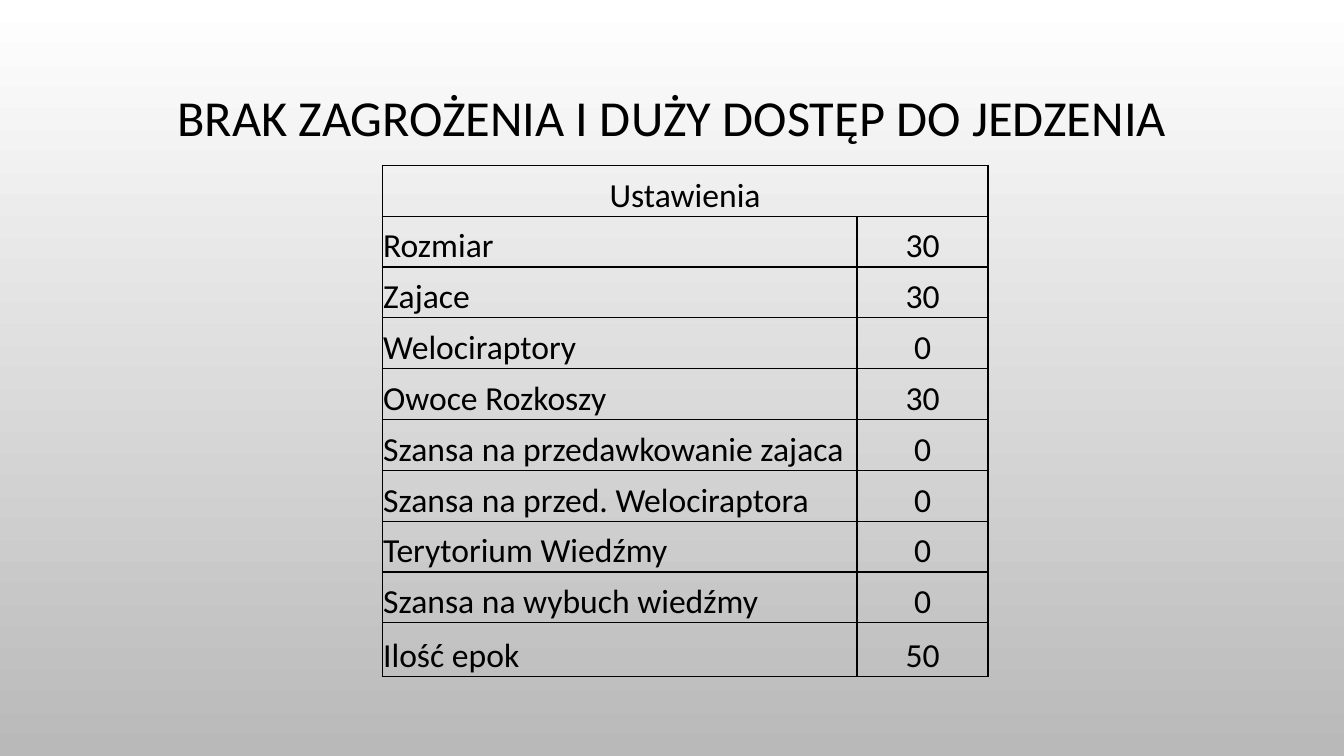
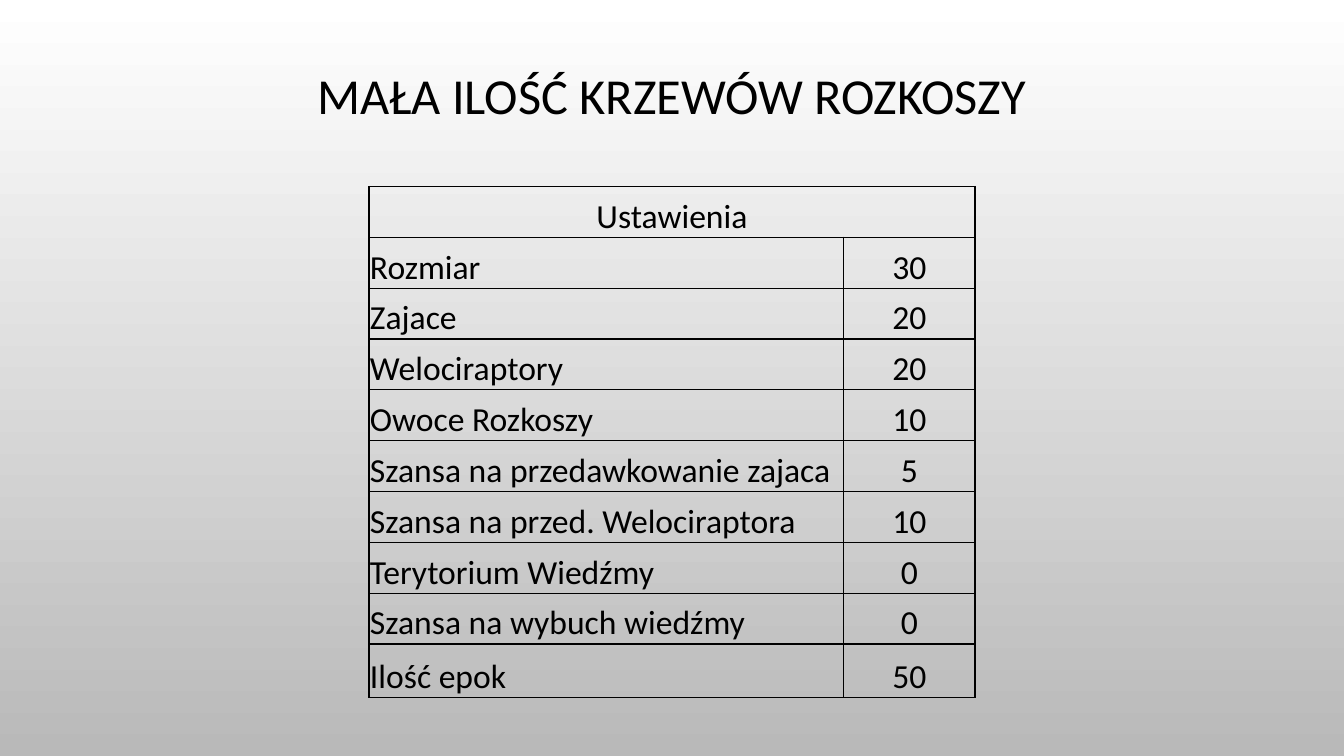
from dataclasses import dataclass

from lxml import etree
from pptx import Presentation, util as u
from pptx.dml.color import RGBColor
from pptx.enum import text
from pptx.oxml import ns

HEADING = "Ustawienia"
SETTINGS = [
    "Rozmiar", "Zajace", "Welociraptory", "Owoce Rozkoszy",
    "Szansa na przedawkowanie zajaca", "Szansa na przed. Welociraptora",
    "Terytorium Wiedźmy", "Szansa na wybuch wiedźmy", "Ilość epok",
]
SCENARIOS = [
    {"title": "BRAK ZAGROŻENIA I DUŻY DOSTĘP DO JEDZENIA", "title_top": 0.32,
     "table_at": (3.79, 1.64), "values": [30, 30, 0, 30, 0, 0, 0, 0, 50]},
    {"title": "MAŁA ILOŚĆ KRZEWÓW ROZKOSZY", "title_top": 0.1,
     "table_at": (3.66, 1.85), "values": [30, 20, 20, 10, 5, 10, 0, 0, 50]},
]

PAGE_WIDTH, PAGE_HEIGHT = 13.33, 7.5
TITLE_MARGIN, TITLE_HEIGHT = 1, 1.75
COLUMN_WIDTHS = (4.71, 1.3)
ROW_HEIGHTS = [4.54 / 9] * 9 + [0.53]
CELL_INSET = 0.01


@dataclass(frozen=True)
class Theme:
    font: str = "Calibri"
    ink: str = "000000"
    gradient: tuple = ("FFFFFF", "B9B9B9")
    title_size: int = 36
    table_size: int = 24
    border: float = 1


THEME = Theme()


def set_background(master):
    fill = master.background.fill
    fill.gradient()
    fill.gradient_angle = 270
    for position, (stop, color) in enumerate(zip(fill.gradient_stops, THEME.gradient)):
        stop.position = position
        stop.color.rgb = RGBColor.from_string(color)


def style_paragraph(para, size, align):
    para.alignment = align
    para.font.name = THEME.font
    para.font.size = u.Pt(size)
    para.font.color.rgb = RGBColor.from_string(THEME.ink)


def add_title(page, wording, top):
    title = page.shapes.title
    title.left, title.top = u.Inches(TITLE_MARGIN), u.Inches(top)
    title.width = u.Inches(PAGE_WIDTH - 2 * TITLE_MARGIN)
    title.height = u.Inches(TITLE_HEIGHT)
    frame = title.text_frame
    frame.text = wording
    frame.auto_size = text.MSO_AUTO_SIZE.NONE
    frame.vertical_anchor = text.MSO_ANCHOR.MIDDLE
    para = frame.paragraphs[0]
    para.line_spacing = 0.9
    style_paragraph(para, THEME.title_size, text.PP_ALIGN.CENTER)


def add_borders(cell):
    properties = cell._tc.get_or_add_tcPr()
    for side in ("a:lnL", "a:lnR", "a:lnT", "a:lnB"):
        line = etree.SubElement(properties, ns.qn(side), w=str(u.Pt(THEME.border)))
        fill = etree.SubElement(line, ns.qn("a:solidFill"))
        etree.SubElement(fill, ns.qn("a:srgbClr"), val=THEME.ink)


def fill_cell(cell, wording, align):
    add_borders(cell)
    cell.fill.background()
    cell.margin_left = cell.margin_right = cell.margin_top = u.Inches(CELL_INSET)
    cell.margin_bottom = 0
    cell.vertical_anchor = text.MSO_ANCHOR.BOTTOM
    cell.text = wording
    style_paragraph(cell.text_frame.paragraphs[0], THEME.table_size, align)


def add_settings_table(page, values, at):
    rows = [(HEADING, "")] + list(zip(SETTINGS, map(str, values)))
    frame = page.shapes.add_table(
        len(rows), len(COLUMN_WIDTHS), *map(u.Inches, at),
        u.Inches(sum(COLUMN_WIDTHS)), u.Inches(sum(ROW_HEIGHTS)))
    table = frame.table
    table.first_row = table.horz_banding = False
    for column, width in zip(table.columns, COLUMN_WIDTHS):
        column.width = u.Inches(width)
    for row, height in zip(table.rows, ROW_HEIGHTS):
        row.height = u.Inches(height)
    table.cell(0, 0).merge(table.cell(0, 1))
    for r, row in enumerate(rows):
        for c, wording in enumerate(row):
            is_label = r > 0 and c == 0
            align = text.PP_ALIGN.LEFT if is_label else text.PP_ALIGN.CENTER
            fill_cell(table.cell(r, c), wording, align)


def main():
    deck = Presentation()
    deck.slide_width, deck.slide_height = u.Inches(PAGE_WIDTH), u.Inches(PAGE_HEIGHT)
    set_background(deck.slide_master)
    title_only = deck.slide_layouts.get_by_name("Title Only")
    for scenario in SCENARIOS:
        page = deck.slides.add_slide(title_only)
        add_title(page, scenario["title"], scenario["title_top"])
        add_settings_table(page, scenario["values"], scenario["table_at"])
    deck.save("out.pptx")


if __name__ == "__main__":
    main()
